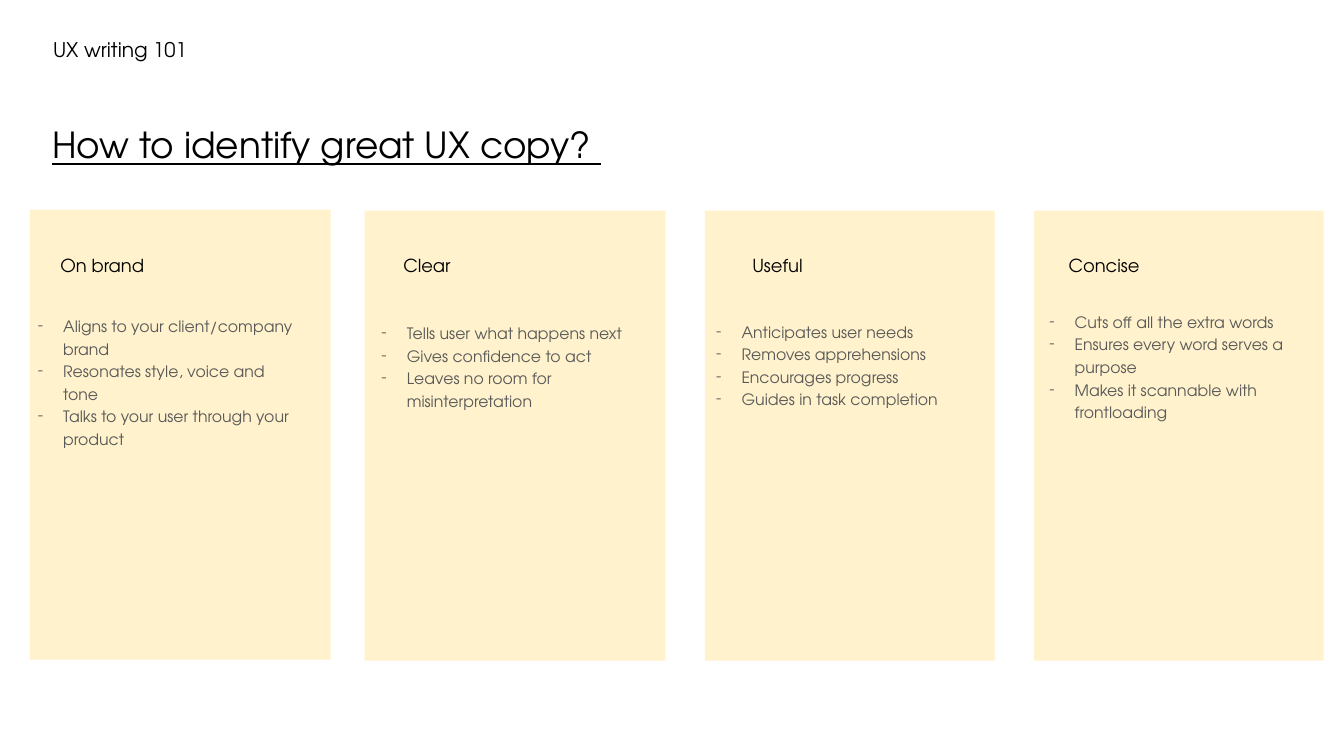
from pptx import Presentation
from pptx.dml.color import RGBColor
from pptx.enum.shapes import MSO_SHAPE
from pptx.enum.text import MSO_AUTO_SIZE
from pptx.oxml.ns import qn
from pptx.util import Cm, Pt
from lxml import etree

RECT = MSO_SHAPE.RECTANGLE
GROW = MSO_AUTO_SIZE.SHAPE_TO_FIT_TEXT
FIXED = MSO_AUTO_SIZE.NONE
FONT = "TeX Gyre Adventor"
BLACK, GREY, CREAM = "000000", "595959", "FFF2CC"
INSET = 0.25
INDENT = 0.8

CARDS = [
    {"card": (0.94, 6.6, 9.47), "head": ("On brand", 1.65, 9.86),
     "list": (0.94, 9.73, 8.86, 4.5),
     "points": ["Aligns to your client/company brand",
                "Resonates style, voice and tone",
                "Talks to your user through your product"]},
    {"card": (11.48, 6.63, 9.47), "head": ("Clear", 12.45, 9.86),
     "list": (11.76, 9.96, 8.86, 3.78),
     "points": ["Tells user what happens next",
                "Gives confidence to act",
                "Leaves no room for misinterpretation"]},
    {"card": (22.2, 6.63, 9.12), "head": ("Useful", 23.44, 9.86),
     "list": (22.3, 9.91, 8.64, 4.5),
     "points": ["Anticipates user needs",
                "Removes apprehensions",
                "Encourages progress",
                "Guides in task completion"]},
    {"card": (32.56, 6.63, 9.12), "head": ("Concise", 33.4, 7.65),
     "list": (32.79, 9.6, 8.64, 5.21),
     "points": ["Cuts off all the extra words",
                "Ensures every word serves a purpose",
                "Makes it scannable with frontloading"]},
]


def color(code):
    """Turn a hex string into a colour."""
    return RGBColor.from_string(code)


def add_card(slide, left, top, width):
    """Draw one plain cream card."""
    card = slide.shapes.add_shape(RECT, Cm(left), Cm(top), Cm(width), Cm(14.17))
    card.shadow.inherit = False
    card.fill.solid()
    card.fill.fore_color.rgb = color(CREAM)
    card.line.fill.background()


def add_dash(para):
    """Give a paragraph a hanging dash."""
    props = para._p.get_or_add_pPr()
    props.set("marL", str(Cm(INDENT)))
    props.set("indent", str(-Cm(INDENT)))
    etree.SubElement(props, qn("a:buFont")).set("typeface", FONT)
    etree.SubElement(props, qn("a:buChar")).set("char", "-")


def add_text(slide, lines, box, size, ink=BLACK, space=1.0, inset=INSET,
             fit=GROW, under=None, dash=False):
    """Place a text box with one paragraph for each line."""
    frame = slide.shapes.add_textbox(*map(Cm, box)).text_frame
    frame.word_wrap = True
    frame.auto_size = fit
    frame.margin_left = frame.margin_right = Cm(inset)
    frame.margin_top = frame.margin_bottom = Cm(inset / 2)
    for index, line in enumerate(lines):
        para = frame.add_paragraph() if index else frame.paragraphs[0]
        para.line_spacing = space
        if dash:
            add_dash(para)
        run = para.add_run()
        run.text = line
        run.font.name = FONT
        run.font.size = Pt(size)
        run.font.color.rgb = color(ink)
        run.font.underline = under


def main():
    """Build the slide and save it."""
    deck = Presentation()
    deck.slide_width, deck.slide_height = Cm(42.32), Cm(23.8)
    slide = deck.slides.add_slide(deck.slide_layouts[6])
    add_text(slide, ["UX writing 101"], (1.42, 1.14, 15.95, 0.81), 18,
             space=0.9, fit=FIXED)
    add_text(slide, ["How to identify great UX copy? "],
             (1.65, 3.86, 25.88, 1.37), 32, inset=0, under=True)
    for item in CARDS:
        add_card(slide, *item["card"])
    for item in CARDS:
        title, left, width = item["head"]
        add_text(slide, [title], (left, 7.77, width, 1.02), 16, space=1.2)
        add_text(slide, item["points"], item["list"], 14, ink=GREY,
                 space=1.2, dash=True)
    deck.save("out.pptx")


if __name__ == "__main__":
    main()
